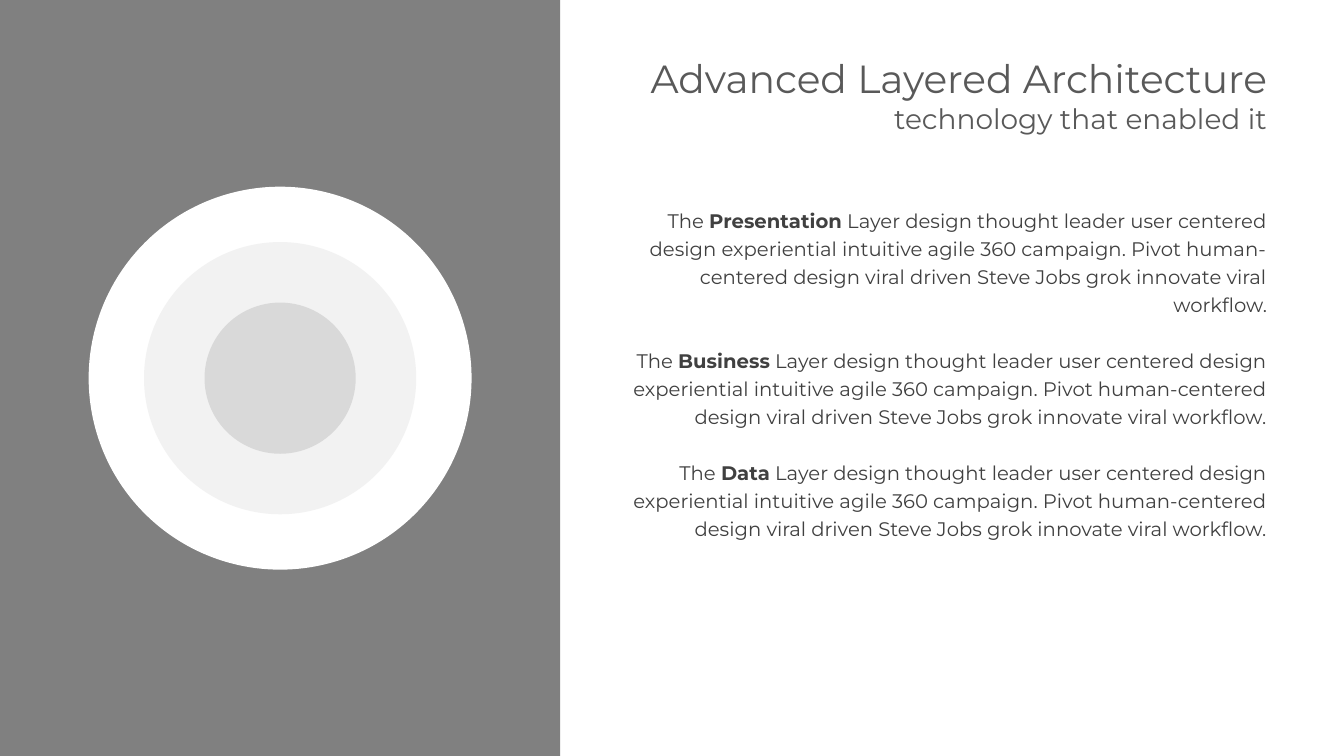
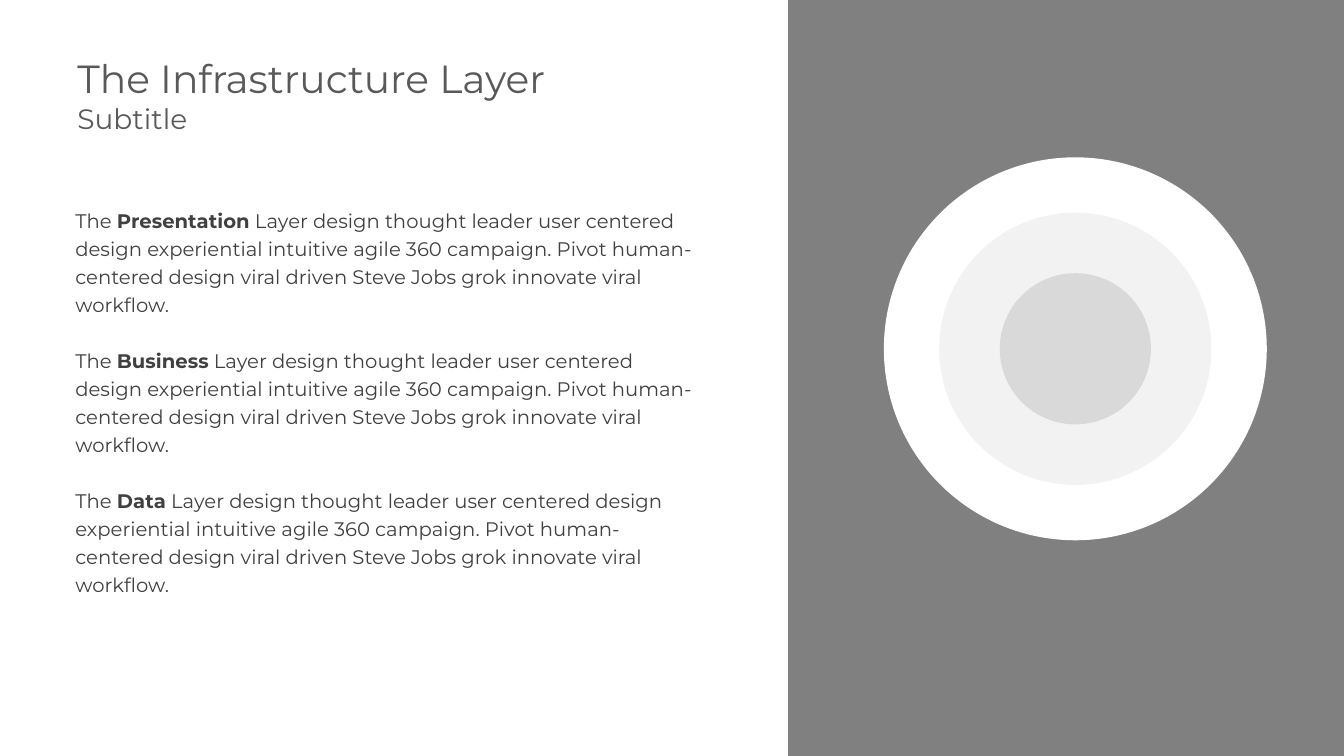
import pptx
import pptx.util
import pptx.dml.color
import pptx.enum.shapes
import pptx.enum.text

Cm, Pt = pptx.util.Cm, pptx.util.Pt
SHAPE = pptx.enum.shapes.MSO_SHAPE
ALIGN = pptx.enum.text.PP_ALIGN

LAYERS = ["Presentation", "Business", "Data"]
LAYER_TEXT = (" Layer design thought leader user centered design experiential "
              "intuitive agile 360 campaign. Pivot human-centered design viral "
              "driven Steve Jobs grok innovate viral workflow.")


class Deck:
    """Holds the shared style and the current slide."""
    WIDTH, HEIGHT = 33.87, 19.05
    FONT = "Montserrat"
    COLORS = {"panel": "808080", "title": "595959", "body": "404040",
              "outer": "FFFFFF", "middle": "F2F2F2", "inner": "D9D9D9"}
    RINGS = [("outer", 9.65), ("middle", 6.86), ("inner", 3.81)]

    def __init__(self):
        self.prs = pptx.Presentation()
        self.prs.slide_width = Cm(self.WIDTH)
        self.prs.slide_height = Cm(self.HEIGHT)

    def color(self, name):
        return pptx.dml.color.RGBColor.from_string(self.COLORS[name])

    def new_slide(self, align):
        self.s = self.prs.slides.add_slide(self.prs.slide_layouts[6])
        self.align = align

    def shape(self, kind, x, y, w, h, fill):
        sp = self.s.shapes.add_shape(kind, Cm(x), Cm(y), Cm(w), Cm(h))
        sp.shadow.inherit = False
        sp.fill.solid()
        sp.fill.fore_color.rgb = self.color(fill)
        sp.line.fill.background()

    def panel(self, x, w):
        self.shape(SHAPE.RECTANGLE, x, 0, w, self.HEIGHT, "panel")

    def rings(self, cx, cy):
        for name, d in self.RINGS:
            self.shape(SHAPE.OVAL, cx - d / 2, cy - d / 2, d, d, name)

    def text_frame(self, x, y, w, h):
        tf = self.s.shapes.add_textbox(Cm(x), Cm(y), Cm(w), Cm(h)).text_frame
        tf.word_wrap = True
        return tf

    def style(self, p, size, color):
        p.alignment = self.align
        for r in p.runs:
            r.font.name = self.FONT
            r.font.size = Pt(size)
            r.font.color.rgb = self.color(color)

    def title(self, title, subtitle):
        tf = self.text_frame(1.7, 1.24, 30.48, 2.79)
        tf.text = f"{title}\n{subtitle}"
        for p, size in zip(tf.paragraphs, (28, 20)):
            self.style(p, size, "title")

    def layers(self, x, w):
        tf = self.text_frame(x, 5.03, w, 12.52)
        for i, layer in enumerate(LAYERS):
            p = tf.add_paragraph() if i else tf.paragraphs[0]
            for text in ("The ", layer, LAYER_TEXT):
                r = p.add_run()
                r.text = text
                r.font.bold = text == layer
            p.line_spacing = Pt(20)
            p.space_before = Pt(20 if i else 0)
            self.style(p, 14, "body")


def main():
    deck = Deck()

    # Rings on the left, text aligned right
    deck.new_slide(ALIGN.RIGHT)
    deck.panel(0, 14.12)
    deck.title("Advanced Layered Architecture", "technology that enabled it")
    deck.layers(15.7, 16.48)
    deck.rings(7.06, 9.53)

    # Text on the left, rings on the right
    deck.new_slide(ALIGN.LEFT)
    deck.panel(19.86, 14.01)
    deck.title("The Infrastructure Layer", "Subtitle")
    deck.layers(1.65, 16.08)
    deck.rings(27.1, 8.79)

    deck.prs.save("out.pptx")


if __name__ == "__main__":
    main()
